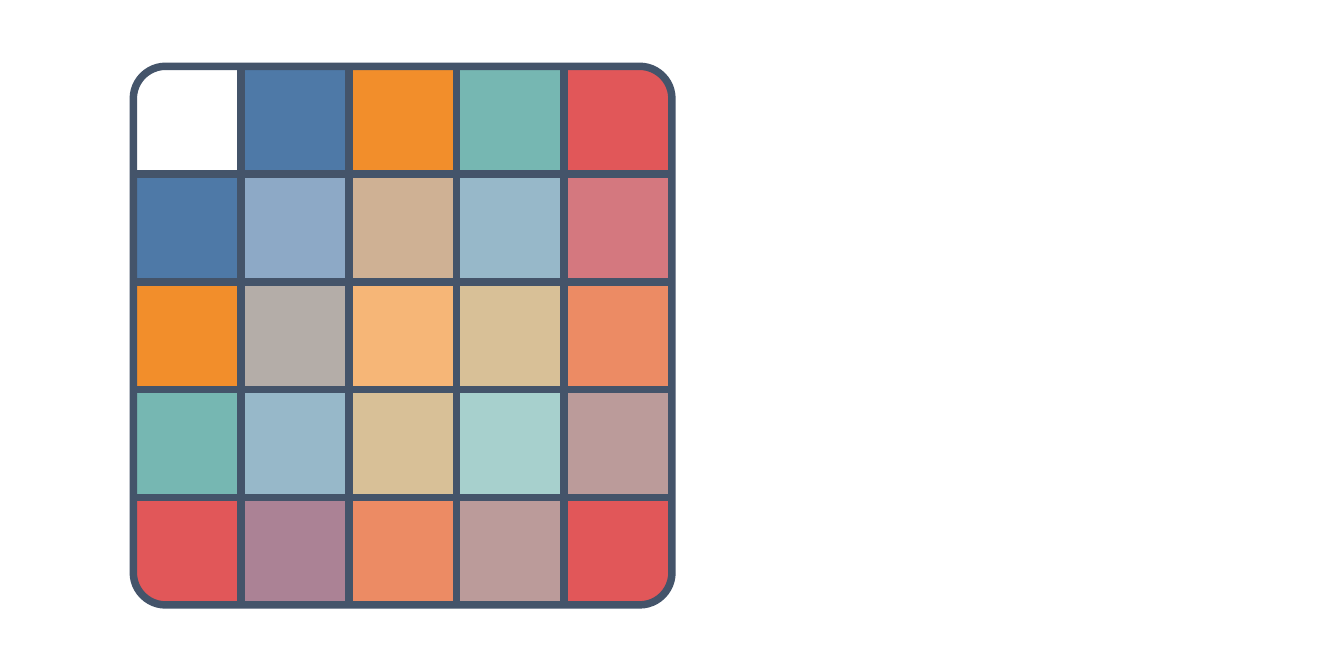
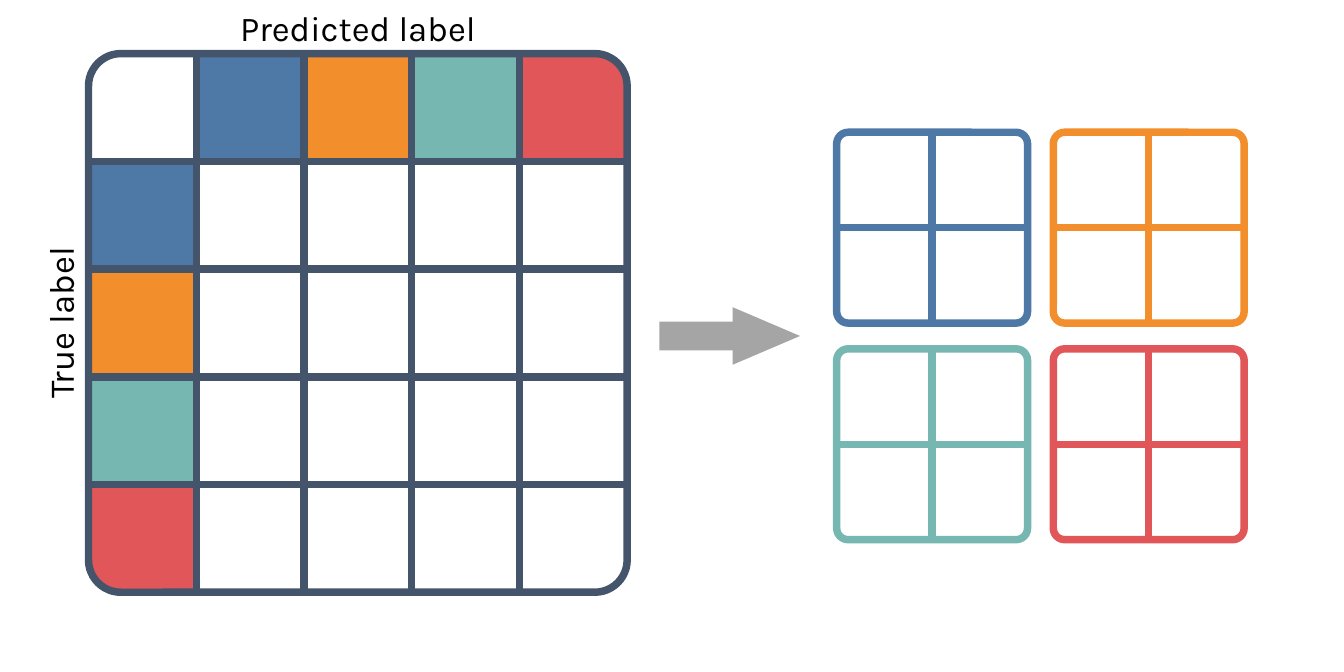
from lxml.etree import SubElement
from pptx import Presentation
from pptx.dml.color import RGBColor
from pptx.enum.shapes import MSO_CONNECTOR, MSO_SHAPE
from pptx.enum.text import MSO_AUTO_SIZE, PP_ALIGN
from pptx.oxml.ns import qn
from pptx.util import Cm, Pt

BLUE = RGBColor(0x4E, 0x79, 0xA7)
ORANGE = RGBColor(0xF2, 0x8E, 0x2B)
TEAL = RGBColor(0x76, 0xB7, 0xB2)
RED = RGBColor(0xE1, 0x57, 0x59)
SLATE = RGBColor(0x44, 0x54, 0x6A)
GRAY = RGBColor(0xA5, 0xA5, 0xA5)
WHITE = RGBColor(0xFF, 0xFF, 0xFF)
BLACK = RGBColor(0x00, 0x00, 0x00)
CLASS_COLORS = [BLUE, ORANGE, TEAL, RED]

FONT = "Karla"
GRID_WIDTH = Pt(6)
GRID_CORNER = 0.06
CELL_CORNER = 0.3
MATRIX_SIZE = 15.27
DIVISIONS = len(CLASS_COLORS) + 1
CELL = MATRIX_SIZE / DIVISIONS
LABEL_HEIGHT = 1.45
SMALL_SIZE = 5.41
SMALL_STEP = 6.14

# Back to front: the stacking decides how the overlapping colours mix.
BANDS = [
    ("row", RED, 70), ("column", TEAL, 40), ("row", BLUE, 40),
    ("column", RED, 70), ("row", TEAL, 40), ("column", ORANGE, 40),
    ("row", ORANGE, 40), ("column", BLUE, 40),
]


def add_filled(shapes, kind, left, top, width, height, color, opacity=100):
    shape = shapes.add_shape(kind, Cm(left), Cm(top), Cm(width), Cm(height))
    shape.shadow.inherit = False
    shape.line.fill.background()
    shape.fill.solid()
    shape.fill.fore_color.rgb = color
    if opacity < 100:
        color_node = shape._element.spPr.find(qn("a:solidFill"))[0]
        SubElement(color_node, qn("a:alpha")).set("val", str(opacity * 1000))
    return shape


def add_corner_cell(shapes, left, top, rotation):
    """Add a red cell with one rounded corner: top right, turned by rotation."""
    cell = add_filled(shapes, MSO_SHAPE.ROUND_1_RECTANGLE, left, top, CELL, CELL, RED)
    cell.adjustments[0] = CELL_CORNER
    cell.rotation = rotation


def add_line(shapes, x1, y1, x2, y2, color):
    line = shapes.add_connector(MSO_CONNECTOR.STRAIGHT, Cm(x1), Cm(y1), Cm(x2), Cm(y2))
    line.line.color.rgb = color
    line.line.width = GRID_WIDTH
    SubElement(line._element.spPr, qn("a:effectLst"))


def add_grid(shapes, left, top, size, divisions, color, filled=False):
    """Add a rounded frame split into equal rows and columns."""
    frame = add_filled(shapes, MSO_SHAPE.ROUNDED_RECTANGLE, left, top, size, size, WHITE)
    frame.adjustments[0] = GRID_CORNER
    if not filled:
        frame.fill.background()
    frame.line.color.rgb = color
    frame.line.width = GRID_WIDTH
    for index in range(1, divisions):
        offset = size * index / divisions
        add_line(shapes, left + offset, top, left + offset, top + size, color)
        add_line(shapes, left, top + offset, left + size, top + offset, color)


def add_header_cells(shapes, left, top):
    """Colour the first row and the first column, one cell per class."""
    for index, color in enumerate(CLASS_COLORS, start=1):
        offset = CELL * index
        if color == RED:
            add_corner_cell(shapes, left + offset, top, 0)
            add_corner_cell(shapes, left, top + offset, 180)
        else:
            for x, y in ((left + offset, top), (left, top + offset)):
                add_filled(shapes, MSO_SHAPE.RECTANGLE, x, y, CELL, CELL, color)


def add_bands(shapes, left, top):
    """Lay the translucent class rows and columns over each other."""
    for direction, color, opacity in BANDS:
        offset = CELL * (CLASS_COLORS.index(color) + 1)
        # Red bands stop before the solid corner cell that they share.
        length = CELL * (3 if color == RED else 4)
        if direction == "row":
            box = (left + CELL, top + offset, length, CELL)
        else:
            box = (left + offset, top + CELL, CELL, length)
        add_filled(shapes, MSO_SHAPE.RECTANGLE, *box, color, opacity)


def add_matrix(slide, left, top, with_bands=False):
    shapes = slide.shapes.add_group_shape().shapes
    if with_bands:
        add_bands(shapes, left, top)
        last = MATRIX_SIZE - CELL
        add_corner_cell(shapes, left + last, top + last, 90)
    add_header_cells(shapes, left, top)
    add_grid(shapes, left, top, MATRIX_SIZE, DIVISIONS, SLATE)


def add_axis_label(slide, text, center_x, center_y, rotation=0):
    box = slide.shapes.add_textbox(
        Cm(center_x - MATRIX_SIZE / 2), Cm(center_y - LABEL_HEIGHT / 2),
        Cm(MATRIX_SIZE), Cm(LABEL_HEIGHT))
    box.rotation = rotation
    box.text_frame.word_wrap = True
    box.text_frame.auto_size = MSO_AUTO_SIZE.SHAPE_TO_FIT_TEXT
    paragraph = box.text_frame.paragraphs[0]
    paragraph.alignment = PP_ALIGN.CENTER
    run = paragraph.add_run()
    run.text = text
    run.font.name = FONT
    run.font.size = Pt(28)
    run.font.color.rgb = BLACK


def add_class_grids(slide, left, top):
    """Add one two-by-two grid for each class, two to a row."""
    for index, color in enumerate(CLASS_COLORS):
        row, column = divmod(index, 2)
        shapes = slide.shapes.add_group_shape().shapes
        add_grid(shapes, left + column * SMALL_STEP, top + row * SMALL_STEP,
                 SMALL_SIZE, 2, color, filled=True)


def add_arrow(slide, left, top, width, height):
    arrow = add_filled(slide.shapes, MSO_SHAPE.RIGHT_ARROW, left, top, width, height, GRAY)
    arrow.adjustments[0] = 0.5
    arrow.adjustments[1] = 1.17


def main():
    presentation = Presentation()
    presentation.slide_width = Cm(38.1)
    presentation.slide_height = Cm(19.05)
    blank = presentation.slide_layouts[6]

    mixed_slide = presentation.slides.add_slide(blank)
    add_matrix(mixed_slide, 3.78, 1.88, with_bands=True)

    split_slide = presentation.slides.add_slide(blank)
    left, top = 2.51, 1.52
    add_matrix(split_slide, left, top)
    add_class_grids(split_slide, 23.72, 3.75)
    add_arrow(split_slide, 18.69, 8.71, 3.99, 1.63)
    add_axis_label(split_slide, "Predicted label", left + MATRIX_SIZE / 2, 0.8)
    add_axis_label(split_slide, "True label", 1.71, top + MATRIX_SIZE / 2, 270)

    presentation.save("out.pptx")


if __name__ == "__main__":
    main()
